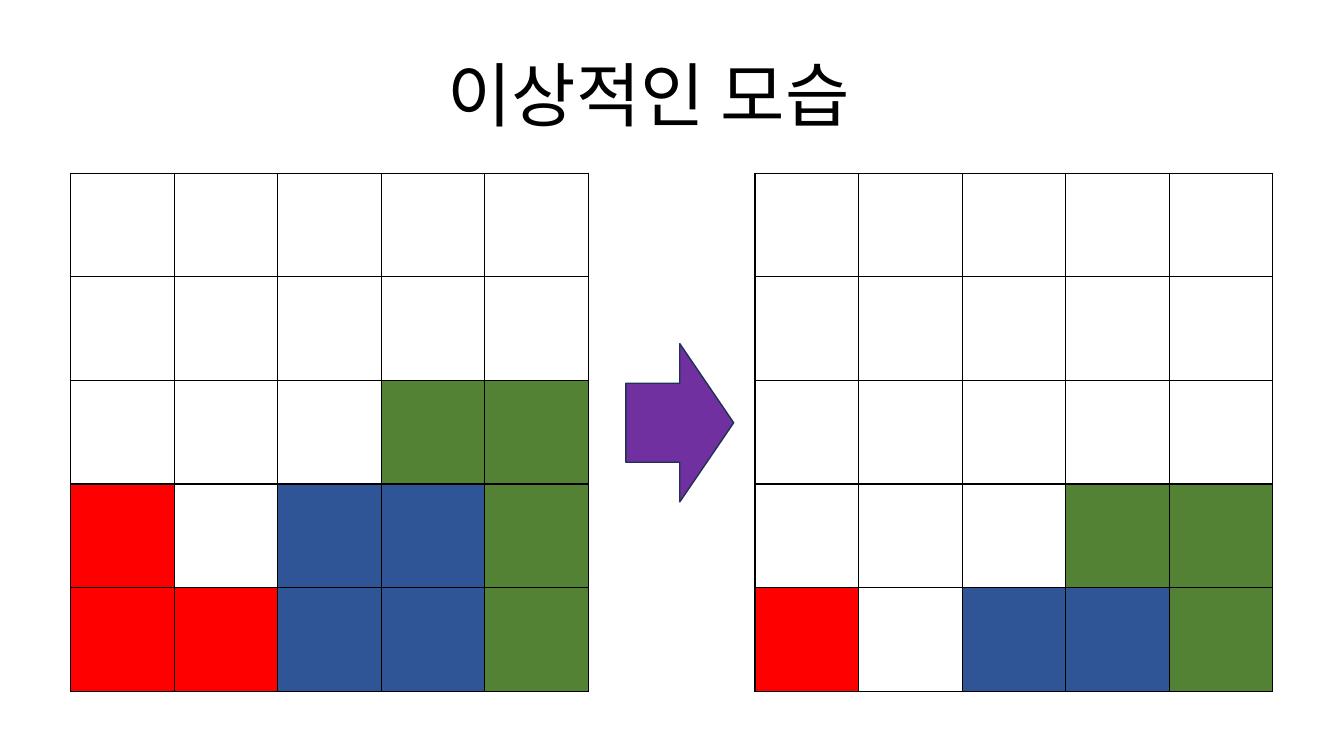
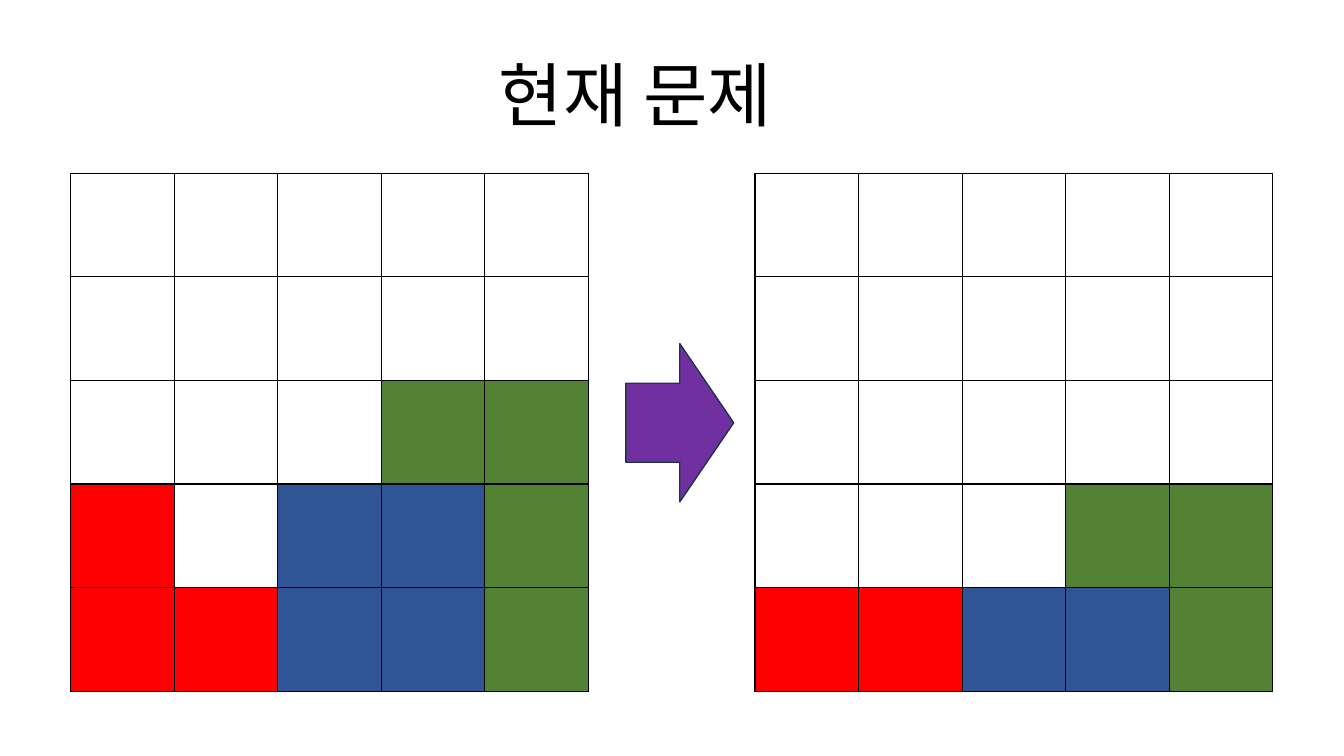
from lxml import etree
from pptx import Presentation
from pptx.dml.color import RGBColor
from pptx.enum.shapes import MSO_SHAPE
from pptx.enum.text import MSO_ANCHOR
from pptx.oxml.ns import qn
from pptx.util import Pt

FONT = "Noto Sans CJK KR"
BLACK = RGBColor(0x00, 0x00, 0x00)
PURPLE = RGBColor(0x70, 0x30, 0xA0)
NAVY = RGBColor(0x1E, 0x32, 0x56)
FILLS = {
    ".": RGBColor(0xFF, 0xFF, 0xFF),
    "R": RGBColor(0xFF, 0x00, 0x00),
    "B": RGBColor(0x2F, 0x55, 0x97),
    "G": RGBColor(0x54, 0x82, 0x35),
}

# One letter per cell, one word per row
BEFORE = "..... ..... ...GG R.BBG RRBBG"
SLIDES = [
    {"title": "이상적인 모습", "left": 312.5, "width": 335.5,
     "after": "..... ..... ..... ...GG R.BBG"},
    {"title": "현재 문제", "left": 349.2, "width": 234,
     "after": "..... ..... ..... ...GG RRBBG"},
]

CELL = 74
GRID_TOP = 123.8
GRID_LEFTS = (50.4, 539.3)
ARROW = (447.1, 245.5, 77, 113)
TITLE_TOP, TITLE_HEIGHT = 33.1, 67.7


def add_title(slide, text, left, width):
    box = slide.shapes.add_textbox(Pt(left), Pt(TITLE_TOP), Pt(width), Pt(TITLE_HEIGHT))
    frame = box.text_frame
    frame.word_wrap = True
    frame.vertical_anchor = MSO_ANCHOR.MIDDLE
    run = frame.paragraphs[0].add_run()
    run.text = text
    for name, value in {"name": FONT, "size": Pt(50)}.items():
        setattr(run.font, name, value)
    run.font.color.rgb = BLACK
    etree.SubElement(run.font._element, qn("a:ea"), typeface=FONT)


def add_borders(cell):
    props = cell._tc.get_or_add_tcPr()
    for side in ("lnL", "lnR", "lnT", "lnB"):
        line = etree.SubElement(props, qn(f"a:{side}"), w=str(Pt(1)))
        fill = etree.SubElement(line, qn("a:solidFill"))
        etree.SubElement(fill, qn("a:srgbClr"), val=str(BLACK))


def add_grid(slide, left, pattern):
    rows = pattern.split()
    count = len(rows[0])
    table = slide.shapes.add_table(
        len(rows), count, Pt(left), Pt(GRID_TOP),
        Pt(CELL * count), Pt(CELL * len(rows))).table
    table.first_row = table.horz_banding = False
    for column in table.columns:
        column.width = Pt(CELL)
    for r, row in enumerate(rows):
        table.rows[r].height = Pt(CELL)
        for c, key in enumerate(row):
            cell = table.cell(r, c)
            add_borders(cell)
            cell.fill.solid()
            cell.fill.fore_color.rgb = FILLS[key]


def add_arrow(slide):
    arrow = slide.shapes.add_shape(MSO_SHAPE.RIGHT_ARROW, *map(Pt, ARROW))
    arrow.shadow.inherit = False
    arrow.fill.solid()
    arrow.fill.fore_color.rgb = PURPLE
    arrow.line.color.rgb = NAVY
    arrow.line.width = Pt(1)


def main():
    deck = Presentation()
    deck.slide_width, deck.slide_height = Pt(960), Pt(540)
    for item in SLIDES:
        slide = deck.slides.add_slide(deck.slide_layouts[6])
        for left, pattern in zip(GRID_LEFTS, (BEFORE, item["after"])):
            add_grid(slide, left, pattern)
        add_arrow(slide)
        add_title(slide, item["title"], item["left"], item["width"])
    deck.save("out.pptx")


if __name__ == "__main__":
    main()
